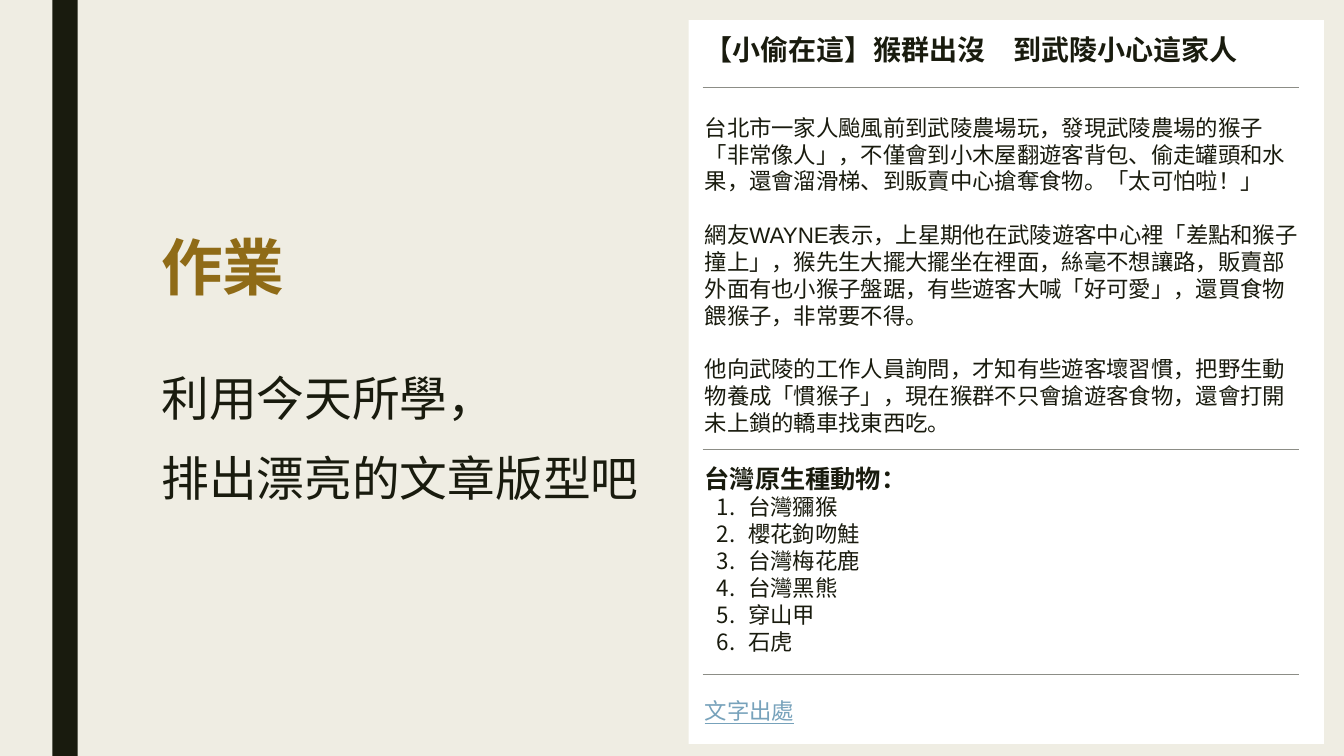
from lxml import etree
from pptx import Presentation
from pptx import util as u
from pptx.dml.color import RGBColor
from pptx.enum import shapes, text
from pptx.oxml.ns import qn

COLOURS = {"paper": "EFEDE3", "ink": "191B0E", "gold": "8F6B17",
           "panel": "FFFFFF", "rule": "8C8D86", "link": "77A2BB"}
BLANK_LINE = 19.2

STORY = [
    "台北市一家人颱風前到武陵農場玩，發現武陵農場的猴子「非常像人」，不僅會到小木屋翻遊客背包、"
    "偷走罐頭和水果，還會溜滑梯、到販賣中心搶奪食物。「太可怕啦！」",
    "網友WAYNE表示，上星期他在武陵遊客中心裡「差點和猴子撞上」，猴先生大擺大擺坐在裡面，"
    "絲毫不想讓路，販賣部外面有也小猴子盤踞，有些遊客大喊「好可愛」，還買食物餵猴子，非常要不得。",
    "他向武陵的工作人員詢問，才知有些遊客壞習慣，把野生動物養成「慣猴子」，"
    "現在猴群不只會搶遊客食物，還會打開未上鎖的轎車找東西吃。",
]
ANIMALS = ["台灣獼猴", "櫻花鉤吻鮭", "台灣梅花鹿", "台灣黑熊", "穿山甲", "石虎"]


def colour(name):
    return RGBColor.from_string(COLOURS[name])


class HomeworkSlide:
    def __init__(self, deck):
        self.slide = deck.slides.add_slide(deck.slide_layouts[1])
        fill = self.slide.background.fill
        fill.solid()
        fill.fore_color.rgb = colour("paper")

    def placeholder(self, index, left, top, width, height):
        holder = self.slide.placeholders[index]
        place = {"left": left, "top": top, "width": width, "height": height}
        for side, length in place.items():
            setattr(holder, side, u.Inches(length))
        return self.frame(holder, 0.1, 0.05)

    def frame(self, holder, side_inset, end_inset):
        frame = holder.text_frame
        layout = {"word_wrap": True, "auto_size": text.MSO_AUTO_SIZE.NONE,
                  "vertical_anchor": text.MSO_ANCHOR.TOP,
                  "margin_left": u.Inches(side_inset), "margin_right": u.Inches(side_inset),
                  "margin_top": u.Inches(end_inset), "margin_bottom": u.Inches(end_inset)}
        for key, value in layout.items():
            setattr(frame, key, value)
        return frame

    def paragraph(self, frame, words, size=16, ink="ink", before=0, spacing=1.0,
                  numbered=False, **font):
        """Fill the frame's empty first paragraph, or add one after the last."""
        first = frame.paragraphs[0]
        line = frame.add_paragraph() if first.runs else first
        layout = {"alignment": text.PP_ALIGN.LEFT, "line_spacing": spacing,
                  "space_before": u.Pt(before), "space_after": u.Pt(0)}
        for key, value in layout.items():
            setattr(line, key, value)
        run = line.add_run()
        run.text = words
        for key, value in {"name": "Arial", "size": u.Pt(size), "bold": False, **font}.items():
            setattr(run.font, key, value)
        run.font.color.rgb = colour(ink)
        self.bullet(line, numbered)

    def bullet(self, line, numbered):
        props = line._p.get_or_add_pPr()
        props.set("marL", str(u.Inches(0.43) if numbered else 0))
        props.set("indent", str(u.Inches(-0.31) if numbered else 0))
        if numbered:
            etree.SubElement(props, qn("a:buFont"), typeface="Arial")
            etree.SubElement(props, qn("a:buAutoNum"), type="arabicPeriod")
        else:
            etree.SubElement(props, qn("a:buNone"))

    def block(self, left, top, width, height, fill):
        block = self.slide.shapes.add_shape(
            shapes.MSO_SHAPE.RECTANGLE, *map(u.Inches, (left, top, width, height)))
        block.shadow.inherit = False
        block.fill.solid()
        block.fill.fore_color.rgb = colour(fill)
        block.line.fill.background()
        return block

    def rule(self, left, right, y):
        rule = self.slide.shapes.add_connector(
            shapes.MSO_CONNECTOR.STRAIGHT, *map(u.Inches, (left, y, right, y)))
        rule.line.color.rgb = colour("rule")
        rule.line.width = u.Pt(0.75)
        etree.SubElement(rule._element.spPr, qn("a:effectLst"))


def main():
    deck = Presentation()
    deck.slide_width, deck.slide_height = u.Inches(13.33), u.Inches(7.5)
    page = HomeworkSlide(deck)
    page.block(0.52, 0, 0.25, 7.5, "ink")

    title = page.placeholder(0, 1.5, 2.31, 5.33, 1.07)
    page.paragraph(title, "作業", size=44, ink="gold", spacing=0.89, bold=True)

    task = page.placeholder(1, 1.5, 3.38, 5.24, 2.66)
    for words in ("利用今天所學，", "排出漂亮的文章版型吧"):
        page.paragraph(task, words, size=34.1, spacing=1.4)

    article = page.frame(page.block(6.83, 0.2, 6.3, 7.18, "panel"), 0.16, 0.16)
    page.paragraph(article, "【小偷在這】猴群出沒　到武陵小心這家人",
                   size=20, spacing=0.89, bold=True)
    for number, words in enumerate(STORY):
        page.paragraph(article, words, before=BLANK_LINE if number else 34)
    page.paragraph(article, "台灣原生種動物：", size=18, before=BLANK_LINE, bold=True)
    for animal in ANIMALS:
        page.paragraph(article, animal, numbered=True)
    page.paragraph(article, "文字出處", ink="link", before=BLANK_LINE,
                   spacing=1.6, underline=True)

    for y in (0.87, 4.46, 6.69):
        page.rule(6.97, 12.88, y)
    deck.save("out.pptx")


if __name__ == "__main__":
    main()
